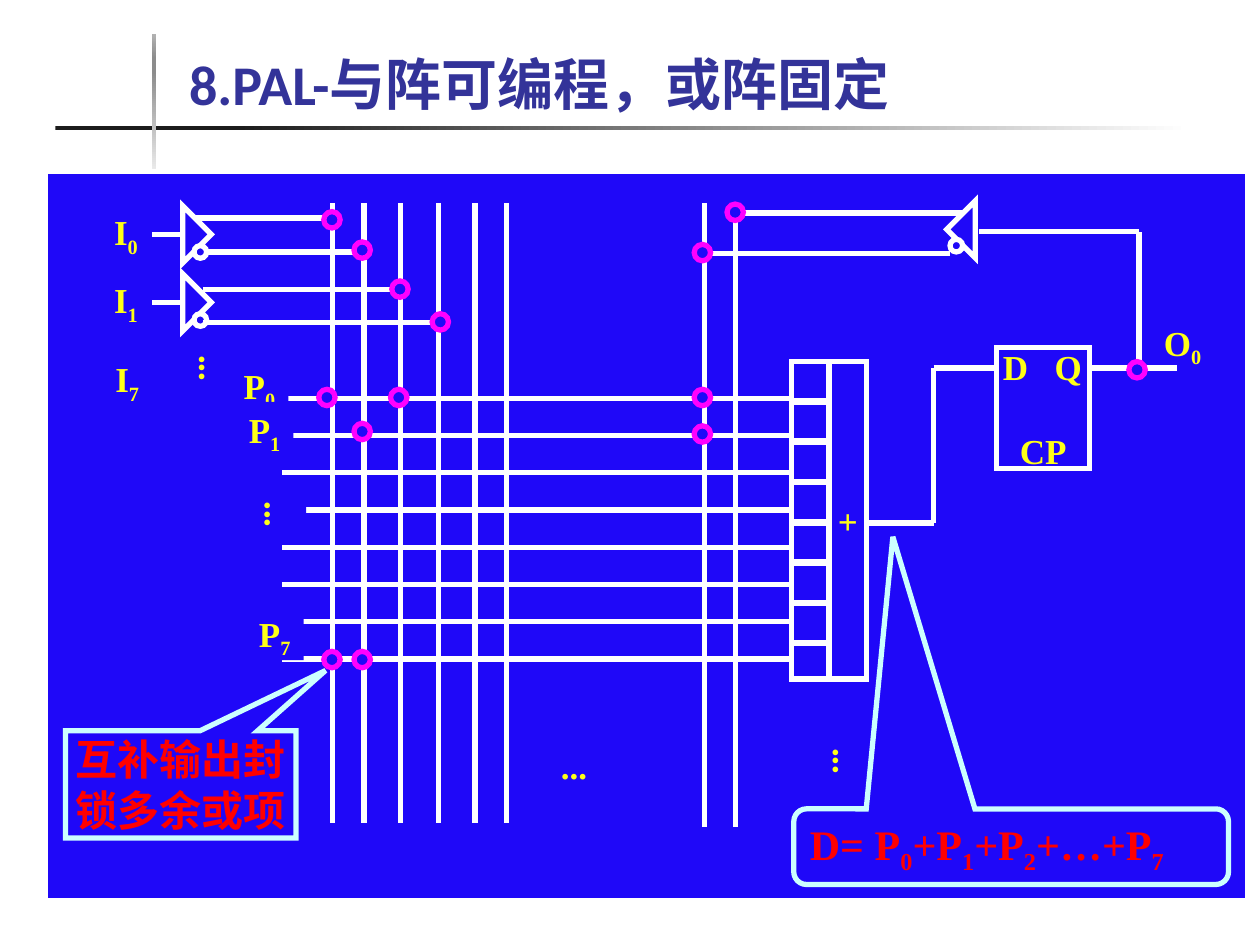
"""Build the slide on a PAL with a programmable AND array and a fixed OR array."""
import copy

import pptx
import pptx.dml.color
import pptx.enum.shapes
import pptx.enum.text
import pptx.oxml
import pptx.oxml.ns
import pptx.util

Inches = pptx.util.Inches
Pt = pptx.util.Pt
RGBColor = pptx.dml.color.RGBColor
SHAPE = pptx.enum.shapes.MSO_SHAPE
ALIGN = pptx.enum.text.PP_ALIGN
ANCHOR = pptx.enum.text.MSO_ANCHOR
qn = pptx.oxml.ns.qn

BLUE = RGBColor(0x1F, 0x08, 0xF8)
WHITE = RGBColor(0xFF, 0xFF, 0xFF)
YELLOW = RGBColor(0xFF, 0xFF, 0x17)
RED = RGBColor(0xFF, 0x00, 0x00)
MAGENTA = RGBColor(0xFF, 0x00, 0xFF)
CYAN = RGBColor(0xCC, 0xFF, 0xFF)
NAVY = RGBColor(0x33, 0x33, 0x99)
BLACK = RGBColor(0x1C, 0x1C, 0x1C)
PALE_GRAY = RGBColor(0xF2, 0xF2, 0xF2)
MID_GRAY = RGBColor(0x8C, 0x8C, 0x8C)
LIGHT_GRAY = RGBColor(0xB2, 0xB2, 0xB2)


def add_box(page, kind, place, outline=WHITE, turn=0):
    """Add a blue preset shape, outlined unless outline is None."""
    box = page.shapes.add_shape(kind, *map(Inches, place))
    box.shadow.inherit = False
    box.rotation = turn
    box.fill.solid()
    box.fill.fore_color.rgb = BLUE
    if outline is None:
        box.line.fill.background()
    else:
        box.line.color.rgb = outline
        box.line.width = Pt(3)
        pptx.oxml.ns  # namespace table used by SubElement below
        miter = box.line._get_or_add_ln().makeelement(qn("a:miter"), {"lim": "800000"})
        box.line._get_or_add_ln().append(miter)
    return box


def add_bar(page, place, angle, stops):
    """Add a thin title rule with a linear gradient."""
    bar = page.shapes.add_shape(SHAPE.RECTANGLE, *map(Inches, place))
    bar.shadow.inherit = False
    bar.line.fill.background()
    bar.fill.gradient()
    bar.fill.gradient_angle = angle
    stop_list = bar._element.spPr.find(".//" + qn("a:gsLst"))
    while len(stop_list) < len(stops):
        stop_list.append(copy.deepcopy(stop_list[0]))
    for stop, (position, color) in zip(bar.fill.gradient_stops, stops):
        stop.position = position
        stop.color.rgb = color


def add_wire(page, left, top, right, bottom):
    """Add a white straight connector."""
    wire = page.shapes.add_connector(
        pptx.enum.shapes.MSO_CONNECTOR.STRAIGHT, *map(Inches, (left, top, right, bottom)))
    wire.line.color.rgb = WHITE
    wire.line.width = Pt(3)
    properties = wire._element.spPr
    properties.append(properties.makeelement(qn("a:effectLst"), {}))


def write(para, text, color=YELLOW, size=20, align=ALIGN.CENTER):
    """Fill a paragraph; every second part between bars is a subscript."""
    for index, part in enumerate(text.split("|")):
        span = para.add_run()
        span.text = part
        if index % 2:
            span._r.get_or_add_rPr().set("baseline", "-25000")
    para.alignment = align
    para.font.name = "Times New Roman"
    para.font.size = Pt(size)
    para.font.bold = True
    para.font.color.rgb = color


def add_label(page, text, place, vertical=False):
    """Add a borderless yellow label."""
    frame = add_box(page, SHAPE.RECTANGLE, place, None).text_frame
    frame.word_wrap = False
    frame.auto_size = pptx.enum.text.MSO_AUTO_SIZE.SHAPE_TO_FIT_TEXT
    frame.vertical_anchor = ANCHOR.TOP
    if vertical:
        frame._txBody.bodyPr.set("vert", "eaVert")
    write(frame.paragraphs[0], text)


def add_buffer(page, left, top, turn, bubble_left, bubble_top):
    """Add a triangular buffer with its inverting bubble."""
    add_box(page, SHAPE.RIGHT_TRIANGLE, (left, top, 0.32, 0.32), turn=turn)
    add_box(page, SHAPE.OVAL, (bubble_left, bubble_top, 0.1, 0.1))


def add_callout(page, kind, place, tip, text, align):
    """Add a callout with red text and a pointer at tip."""
    box = add_box(page, kind, place, CYAN)
    for index, value in enumerate(tip):
        box.adjustments[index] = value
    frame = box.text_frame
    frame.word_wrap = True
    frame.vertical_anchor = ANCHOR.MIDDLE
    write(frame.paragraphs[0], text, RED, 24, align)
    return frame


def add_title(page):
    """Fill the title placeholder and draw its two rules."""
    add_bar(page, (0.44, 1, 9, 0.03), 0, [(0.16, BLACK), (1, WHITE)])
    add_bar(page, (1.21, 0.27, 0.03, 1.15), 90,
            [(0, PALE_GRAY), (0.74, MID_GRAY), (0.83, MID_GRAY), (1, LIGHT_GRAY)])
    title = page.shapes.title
    title.left, title.top, title.width, title.height = map(Inches, (1.4, 0.34, 7.61, 0.64))
    title.text_frame.vertical_anchor = ANCHOR.BOTTOM
    title.text_frame.word_wrap = True
    para = title.text_frame.paragraphs[0]
    para.text = "8.PAL-与阵可编程，或阵固定"
    para.alignment = ALIGN.LEFT
    para.font.name = "Calibri"
    para.font.size = Pt(32)
    para.font.bold = True
    para.font.color.rgb = NAVY


def add_or_gate(page):
    """Draw the fixed OR gate with its eight input cells."""
    gate = add_box(page, SHAPE.RECTANGLE, (6.58, 2.87, 0.3, 2.52))
    gate.text_frame.word_wrap = False
    gate.text_frame.vertical_anchor = ANCHOR.MIDDLE
    write(gate.text_frame.paragraphs[0], "+")
    for row in range(8):
        top = 2.87 + 0.32 * row
        add_box(page, SHAPE.RECTANGLE, (6.28, top, 0.3, min(0.31, 5.39 - top)))


def add_flip_flop(page):
    """Draw the D flip-flop."""
    frame = add_box(page, SHAPE.RECTANGLE, (7.91, 2.76, 0.74, 0.96)).text_frame
    frame.margin_left = frame.margin_right = Inches(0.05)
    frame.margin_top = frame.margin_bottom = 0
    frame.word_wrap = True
    frame.vertical_anchor = ANCHOR.MIDDLE
    pins = frame.paragraphs[0]
    properties = pins._p.get_or_add_pPr()
    tabs = properties.makeelement(qn("a:tabLst"), {})
    tabs.append(tabs.makeelement(qn("a:tab"), {"pos": str(Inches(0.41)), "algn": "l"}))
    properties.append(tabs)
    write(pins, "D\tQ", align=ALIGN.LEFT)
    clock = frame.add_paragraph()
    clock.space_before = Pt(24)
    write(clock, "CP")


def add_wires(page):
    """Draw the product lines, the columns and the signal wires."""
    for row in range(8):
        top = 3.16 + 2.07 / 7 * row
        add_wire(page, 2.24, top, 6.28, top)
    for left in (2.64, 2.89, 3.18, 3.48, 3.77, 4.02):
        add_wire(page, left, 1.61, left, 6.53)
    for left in (5.59, 5.84):
        add_wire(page, left, 1.61, left, 6.56)
    for left, right, top in (
            (1.54, 2.64, 1.73), (1.63, 2.89, 2), (1.61, 3.18, 2.3), (1.61, 3.48, 2.56),
            (1.21, 1.46, 1.86), (1.21, 1.46, 2.4), (6.87, 7.41, 4.15), (7.41, 7.91, 2.92),
            (8.64, 9.34, 2.92), (7.77, 9.04, 1.84), (5.59, 7.54, 2.01), (5.84, 7.64, 1.69)):
        add_wire(page, left, top, right, top)
    add_wire(page, 7.41, 4.15, 7.41, 2.92)
    add_wire(page, 9.04, 2.92, 9.04, 1.84)


def main():
    """Assemble and save the slide."""
    deck = pptx.Presentation()
    deck.slide_width, deck.slide_height = Inches(10), Inches(7.5)
    page = deck.slides.add_slide(deck.slide_layouts[5])
    add_title(page)
    add_box(page, SHAPE.RECTANGLE, (0.36, 1.36, 9.54, 5.79))
    note = add_callout(page, SHAPE.RECTANGULAR_CALLOUT, (0.52, 5.8, 1.83, 0.85),
                       (0.628, -1.063), "互补输出封锁多余或项", ALIGN.CENTER)
    note.margin_left = note.margin_right = note.margin_top = note.margin_bottom = 0
    for top in (1.7, 2.24):
        add_buffer(page, 1.29, top, 225, 1.54, top + 0.25)
    add_buffer(page, 7.58, 1.66, 45, 7.54, 1.9)
    for left, top in ((1.38, 2.72), (6.41, 5.84)):
        add_label(page, "...", (left, top, 0.53, 0.31), True)
    add_label(page, "...", (4.35, 5.86, 0.41, 0.43))
    add_label(page, "O|0", (9.13, 2.5, 0.51, 0.43))
    add_wires(page)
    add_or_gate(page)
    add_flip_flop(page)
    for text, left, top in (("I|0", 0.8, 1.62), ("I|1", 0.8, 2.16), ("I|7", 0.81, 2.79)):
        add_label(page, text, (left, top, 0.4, 0.43))
    add_label(page, "...", (1.9, 3.88, 0.53, 0.31), True)
    for text, left, top in (("P|0", 1.83, 2.84), ("P|1", 1.87, 3.19), ("P|7", 1.95, 4.81)):
        add_label(page, text, (left, top, 0.46, 0.43))
    for left, top in (
            (2.57, 1.68), (2.81, 1.92), (3.11, 2.23), (3.43, 2.49), (2.53, 3.09),
            (3.1, 3.09), (2.81, 3.36), (2.57, 5.17), (2.81, 5.17), (5.77, 1.62),
            (5.51, 1.94), (5.51, 3.09), (5.51, 3.38), (8.96, 2.87)):
        add_box(page, SHAPE.OVAL, (left, top, 0.13, 0.13), MAGENTA)
    add_callout(page, SHAPE.ROUNDED_RECTANGULAR_CALLOUT, (6.3, 6.42, 3.45, 0.6),
                (-0.272, -4.099, 0.167), "D= P|0|+P|1|+P|2|+…+P|7", ALIGN.LEFT)
    deck.save("out.pptx")


if __name__ == "__main__":
    main()
